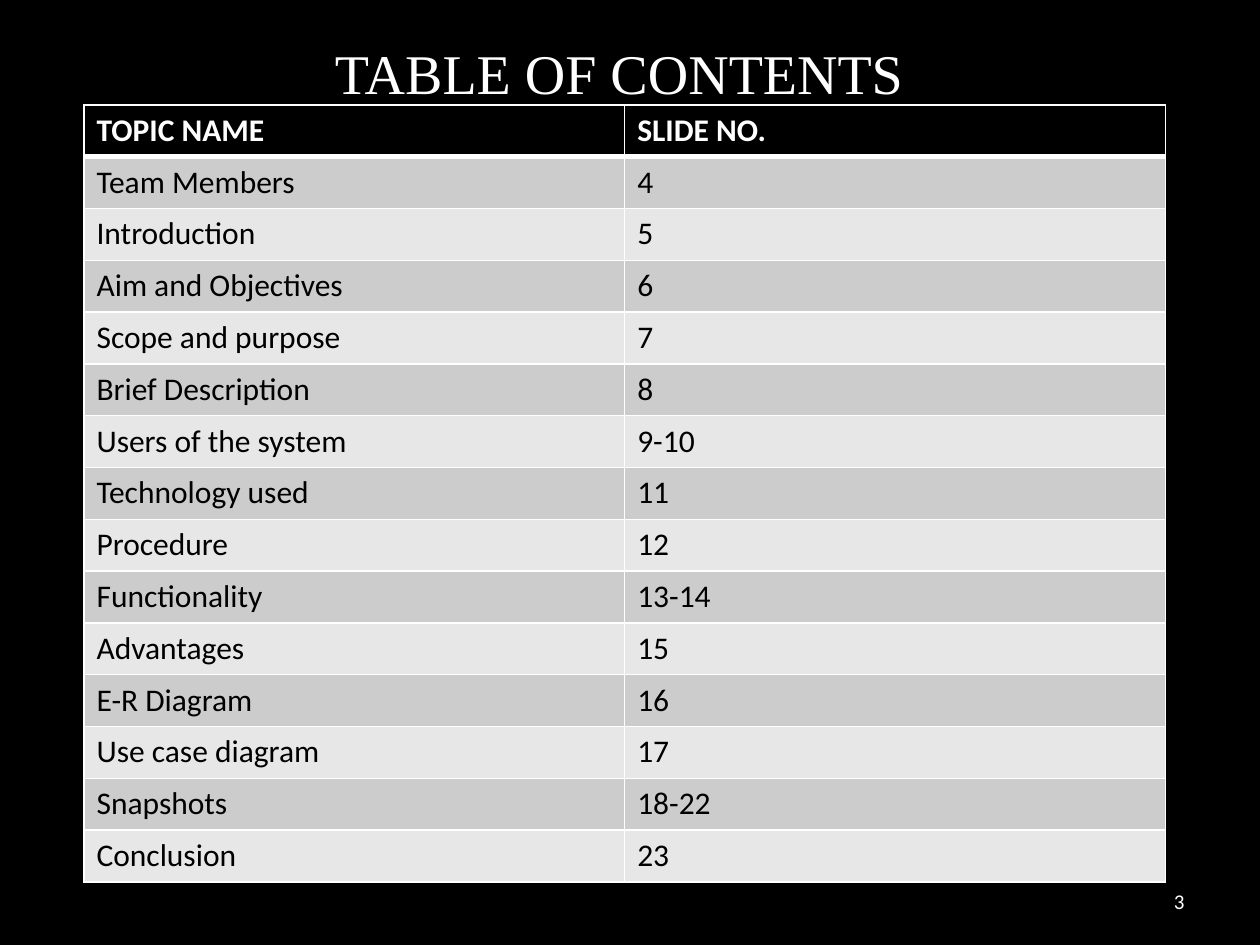
"""Build the table of contents slide."""
from lxml import etree
from pptx import Presentation
from pptx.dml.color import RGBColor
from pptx.enum import text as t
from pptx.oxml.ns import qn
from pptx.util import Pt

TITLE = "TABLE OF CONTENTS"
PAGE = "3"
ROWS = [
    ("TOPIC NAME", "SLIDE NO."),
    ("Team Members", "4"),
    ("Introduction", "5"),
    ("Aim and Objectives", "6"),
    ("Scope and purpose", "7"),
    ("Brief Description", "8"),
    ("Users of the system", "9-10"),
    ("Technology used", "11"),
    ("Procedure", "12"),
    ("Functionality", "13-14"),
    ("Advantages", "15"),
    ("E-R Diagram", "16"),
    ("Use case diagram", "17"),
    ("Snapshots", "18-22"),
    ("Conclusion", "23"),
]
BLACK, WHITE = "000000", "FFFFFF"
BANDS = ["E7E7E7", "CCCCCC"]
LEFT, TOP, COL, ROW = 48, 60, 309, 29.6
HEAD = dict(name="Calibri", size=Pt(18), bold=True)
BODY = dict(HEAD, bold=False)


def paint(fill, color):
    fill.solid()
    fill.fore_color.rgb = RGBColor.from_string(color)


def assign(item, values):
    for key, value in values.items():
        setattr(item, key, value)


def write(frame, words, font, color, align):
    para = frame.paragraphs[0]
    para.alignment = align
    run = para.add_run()
    run.text = words
    assign(run.font, font)
    paint(run.font.fill, color)


def edge(cell, side, width):
    line = etree.Element(qn("a:ln" + side), w=str(Pt(width)))
    fill = etree.SubElement(line, qn("a:solidFill"))
    etree.SubElement(fill, qn("a:srgbClr"), val=WHITE)
    return line


def border(cell, widths):
    props = cell._tc.get_or_add_tcPr()
    for spot, (side, width) in enumerate(widths.items()):
        props.insert(spot, edge(cell, side, width))


def add_title(slide):
    title = slide.shapes.title
    assign(title, dict(left=Pt(132), top=Pt(12.24), width=Pt(408), height=Pt(48.24)))
    frame = title.text_frame
    assign(frame, dict(margin_left=Pt(43), margin_top=Pt(10), margin_bottom=0,
                       auto_size=t.MSO_AUTO_SIZE.NONE, word_wrap=True,
                       vertical_anchor=t.MSO_ANCHOR.MIDDLE))
    font = dict(name="Times New Roman", size=Pt(32), bold=False)
    write(frame, TITLE, font, WHITE, t.PP_ALIGN.CENTER)


def add_topics(slide):
    count = len(ROWS)
    table = slide.shapes.add_table(
        count, 2, Pt(LEFT), Pt(TOP), Pt(2 * COL), Pt(count * ROW)).table
    for col in table.columns:
        col.width = Pt(COL)
    for r, row in enumerate(ROWS):
        table.rows[r].height = Pt(ROW)
        for c, words in enumerate(row):
            cell = table.cell(r, c)
            font, ink, back = (BODY, BLACK, BANDS[r % 2]) if r else (HEAD, WHITE, BLACK)
            paint(cell.fill, back)
            write(cell.text_frame, words, font, ink, t.PP_ALIGN.LEFT)
            border(cell, dict(L=1, R=1, T=3 if r == 1 else 1, B=1 if r else 3))


def add_page(slide):
    box = slide.shapes.add_textbox(Pt(516), Pt(500.4), Pt(168), Pt(28.8))
    frame = box.text_frame
    assign(frame, dict(word_wrap=True, vertical_anchor=t.MSO_ANCHOR.MIDDLE))
    write(frame, PAGE, dict(BODY, size=Pt(12)), WHITE, t.PP_ALIGN.RIGHT)


def main():
    deck = Presentation()
    assign(deck, dict(slide_width=Pt(720), slide_height=Pt(540)))
    slide = deck.slides.add_slide(deck.slide_layouts[5])
    paint(slide.background.fill, BLACK)
    add_page(slide)
    add_title(slide)
    add_topics(slide)
    deck.save("out.pptx")


if __name__ == "__main__":
    main()
